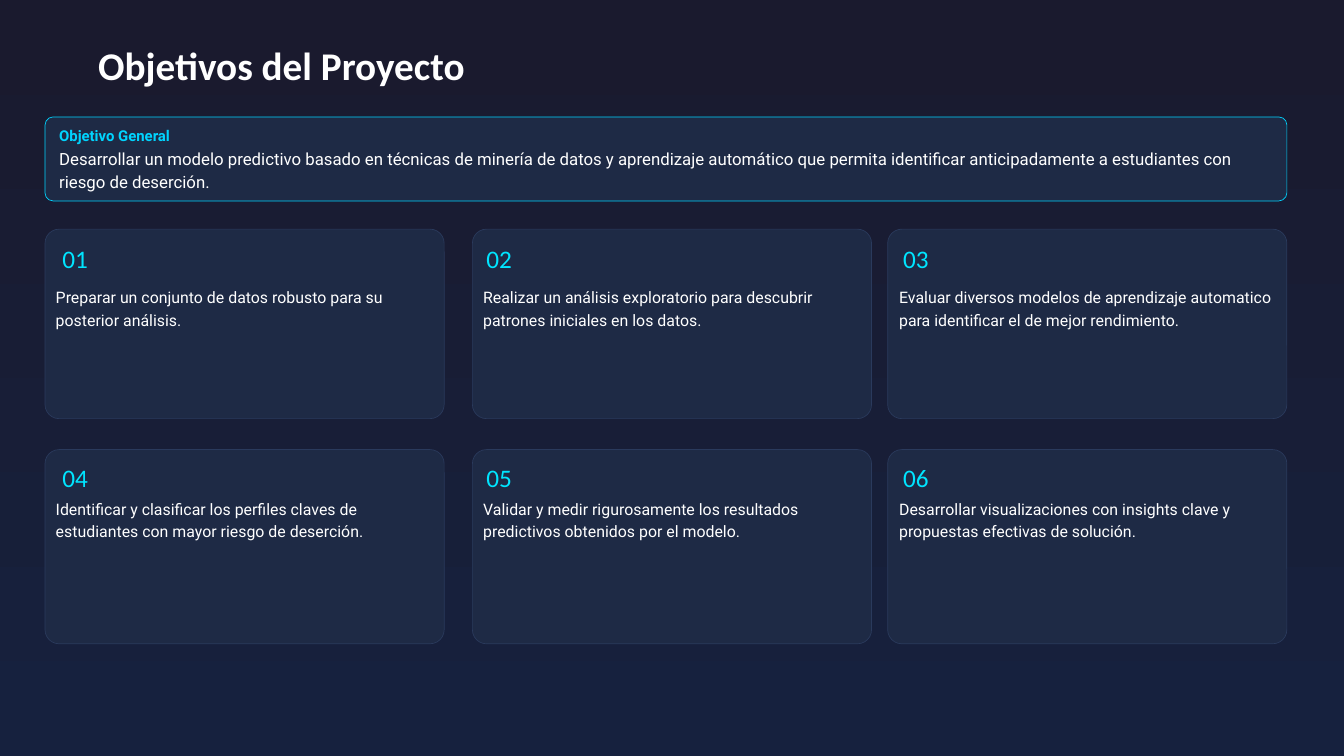
from dataclasses import dataclass
from itertools import product
from typing import NamedTuple

from pptx import Presentation
from pptx import util as u
from pptx.dml.color import RGBColor
from pptx.enum import shapes, text


class TextStyle(NamedTuple):
    size: float
    font: str
    color: str
    leading: float
    bold: bool = False
    align: text.PP_ALIGN = text.PP_ALIGN.LEFT


@dataclass(frozen=True)
class Theme:
    bg_top: str = "1A1A2E"
    bg_bottom: str = "16213E"
    panel: str = "1E2A45"
    card_line: str = "2A3A5C"
    accent: str = "00D4FF"
    title: TextStyle = TextStyle(42, "Calibri", "FFFFFF", 58.8, True)
    heading: TextStyle = TextStyle(16, "Roboto", "00D4FF", 22.4, True)
    general: TextStyle = TextStyle(18, "Roboto", "FFFFFF", 25.2)
    body: TextStyle = TextStyle(17, "Roboto", "FFFFFF", 23.8)
    number: TextStyle = TextStyle(27, "Calibri", "00E5FF", 37.8, align=text.PP_ALIGN.CENTER)


class Box(NamedTuple):
    left: float
    top: float
    width: float
    height: float

    def lengths(self) -> list:
        return [u.Inches(v) for v in self]


class Column(NamedTuple):
    card: float
    body: float
    number: float


class Row(NamedTuple):
    card: float
    height: float
    body: float
    number: float


THEME = Theme()
CARD_WIDTH = 5.94
CARD_RADIUS = 0.21
BANNER_RADIUS = 0.12
COLUMNS = (Column(0.67, 0.83, 0.87), Column(7.03, 7.19, 7.18), Column(13.21, 13.38, 13.38))
ROWS = (Row(3.41, 2.82, 4.24, 3.54), Row(6.69, 2.89, 7.39, 6.8))
OBJECTIVES = (
    "Preparar un conjunto de datos robusto para su posterior análisis.",
    "Realizar un análisis exploratorio para descubrir patrones iniciales en los datos.",
    "Evaluar diversos modelos de aprendizaje automatico para identificar el de mejor rendimiento.",
    "Identificar y clasificar los perfiles claves de estudiantes con mayor riesgo de deserción.",
    "Validar y medir rigurosamente los resultados predictivos obtenidos por el modelo.",
    "Desarrollar visualizaciones con insights clave y propuestas efectivas de solución.",
)
FRAME_FORMAT = {
    "margin_left": 0,
    "margin_top": 0,
    "margin_right": 0,
    "margin_bottom": 0,
    "word_wrap": True,
    "auto_size": text.MSO_AUTO_SIZE.SHAPE_TO_FIT_TEXT,
}


def apply(target: object, values: dict) -> None:
    for name, value in values.items():
        setattr(target, name, value)


def add_background(s) -> None:
    fill = s.background.fill
    fill.gradient()
    fill.gradient_angle = 270
    for stop, color in zip(fill.gradient_stops, (THEME.bg_top, THEME.bg_bottom)):
        stop.color.rgb = RGBColor.from_string(color)


def add_panel(s, box: Box, radius: float, line: str) -> None:
    sp = s.shapes.add_shape(shapes.MSO_SHAPE.ROUNDED_RECTANGLE, *box.lengths())
    sp.adjustments[0] = radius / box.height
    sp.shadow.inherit = False
    sp.fill.solid()
    sp.fill.fore_color.rgb = RGBColor.from_string(THEME.panel)
    sp.line.color.rgb = RGBColor.from_string(line)
    sp.line.width = u.Pt(0.75)


def add_text(s, box: Box, content: str, style: TextStyle) -> None:
    tf = s.shapes.add_textbox(*box.lengths()).text_frame
    apply(tf, FRAME_FORMAT)
    p = tf.paragraphs[0]
    apply(p, {"alignment": style.align, "line_spacing": u.Pt(style.leading)})
    r = p.add_run()
    r.text = content
    apply(r.font, {"size": u.Pt(style.size), "name": style.font, "bold": style.bold})
    r.font.color.rgb = RGBColor.from_string(style.color)


def add_objective(s, number: int, content: str, row: Row, col: Column) -> None:
    add_panel(s, Box(col.card, row.card, CARD_WIDTH, row.height), CARD_RADIUS, THEME.card_line)
    add_text(s, Box(col.body, row.body, 5.6, 0.63), content, THEME.body)
    add_text(s, Box(col.number, row.number, 0.5, 0.5), f"{number:02d}", THEME.number)


def main() -> None:
    prs = Presentation()
    apply(prs, {"slide_width": u.Inches(20), "slide_height": u.Inches(11.25)})
    s = prs.slides.add_slide(prs.slide_layouts[6])
    add_background(s)
    add_text(s, Box(1.46, 0.5, 12.5, 0.78), "Objetivos del Proyecto", THEME.title)
    add_panel(s, Box(0.67, 1.74, 18.48, 1.25), BANNER_RADIUS, THEME.accent)
    add_text(s, Box(0.88, 1.84, 3.15, 0.28), "Objetivo General", THEME.heading)
    add_text(
        s,
        Box(0.88, 2.16, 18.06, 0.66),
        "Desarrollar un modelo predictivo basado en técnicas de minería de datos y aprendizaje "
        "automático que permita identificar anticipadamente a estudiantes con riesgo de deserción.",
        THEME.general,
    )
    for number, (content, (row, col)) in enumerate(zip(OBJECTIVES, product(ROWS, COLUMNS)), 1):
        add_objective(s, number, content, row, col)
    prs.save("out.pptx")


if __name__ == "__main__":
    main()
